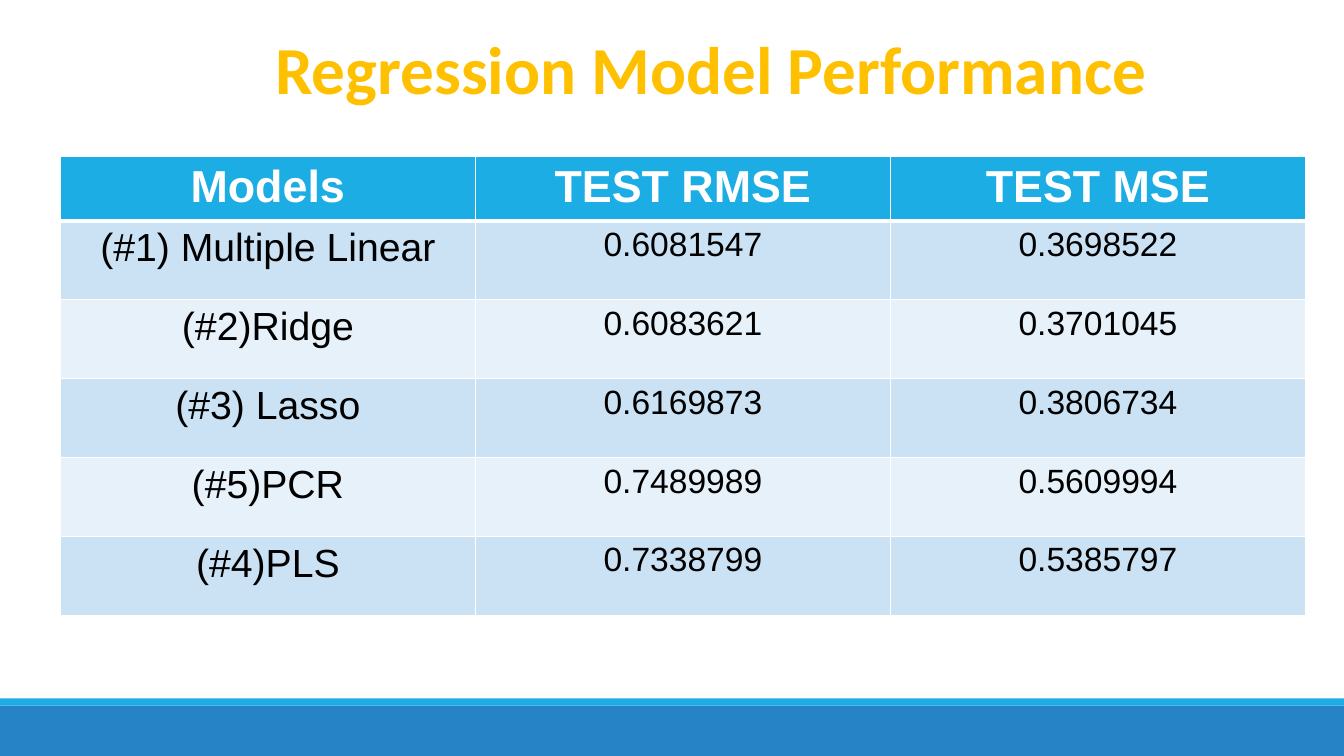
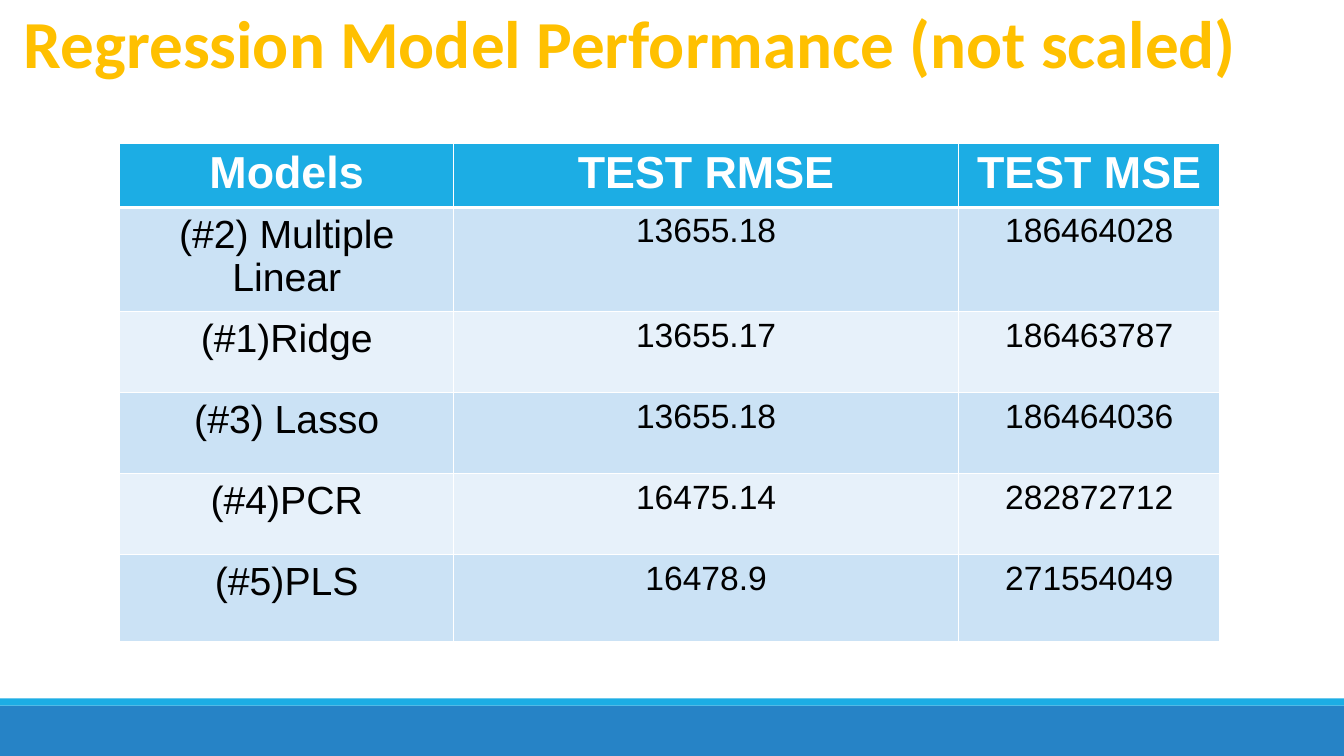
from lxml.etree import SubElement
from pptx import Presentation
from pptx.dml.color import RGBColor
from pptx.enum.shapes import MSO_SHAPE
from pptx.enum.text import MSO_ANCHOR, PP_ALIGN
from pptx.oxml.ns import qn
from pptx.util import Cm, Pt

COLORS = {
    "title": "FFC000",
    "head": "1CADE4",
    "base": "2683C6",
    "odd": "CBE2F5",
    "even": "E7F1FA",
    "white": "FFFFFF",
    "black": "000000",
}
WIDTH, HEIGHT = 33.87, 19.05
TITLE_SIZE = 33.66, 2.08

# Bands at the foot of every slide: color, top, height
BANDS = [("base", 17.78, 1.27), ("head", 17.6, 0.18)]

HEAD = ("Models", "TEST RMSE", "TEST MSE")
SLIDES = [
    {
        "title": "Regression Model Performance",
        "title_at": (1.09, 0.66),
        "table_at": (1.52, 3.94),
        "cols": [10.46] * 3,
        "rows": [1.62] + [1.99] * 5,
        "body": [
            ("(#1) Multiple Linear", "0.6081547", "0.3698522"),
            ("(#2)Ridge", "0.6083621", "0.3701045"),
            ("(#3) Lasso", "0.6169873", "0.3806734"),
            ("(#5)PCR", "0.7489989", "0.5609994"),
            ("(#4)PLS", "0.7338799", "0.5385797"),
        ],
    },
    {
        "title": "Regression Model Performance (not scaled)",
        "title_at": (-0.94, 0),
        "table_at": (3.02, 3.61),
        "cols": [8.41, 12.73, 6.58],
        "rows": [1.62, 2.62, 2.04, 2.04, 2.04, 2.18],
        "body": [
            ("(#2) Multiple Linear", "13655.18", "186464028"),
            ("(#1)Ridge", "13655.17", "186463787"),
            ("(#3) Lasso", "13655.18", "186464036"),
            ("(#4)PCR", "16475.14", "282872712"),
            ("(#5)PLS", "16478.9", "271554049"),
        ],
    },
]


def rgb(name):
    return RGBColor.from_string(COLORS[name])


def write(frame, text, size, color, font="Arial", bold=False):
    frame.word_wrap = True
    para = frame.paragraphs[0]
    para.alignment = PP_ALIGN.CENTER
    run = para.add_run()
    run.text = text
    run.font.name = font
    run.font.size = Pt(size)
    run.font.bold = bold
    run.font.color.rgb = rgb(color)


def add_bands(slide, master):
    """Draw the foot bands and move them to the master, behind all slides."""
    for num, (color, top, height) in enumerate(BANDS):
        band = slide.shapes.add_shape(
            MSO_SHAPE.RECTANGLE, 0, Cm(top), Cm(WIDTH), Cm(height))
        band.shadow.inherit = False
        band.fill.solid()
        band.fill.fore_color.rgb = rgb(color)
        band.line.fill.background()
        band.element.nvSpPr.cNvPr.set("id", str(100 + num))
        master.shapes.element.append(band.element)


def add_title(slide, text, left, top):
    box = slide.shapes.add_textbox(
        Cm(left), Cm(top), *map(Cm, TITLE_SIZE))
    frame = box.text_frame
    frame.vertical_anchor = MSO_ANCHOR.MIDDLE
    frame.margin_left = frame.margin_right = frame.margin_bottom = 0
    frame.margin_top = Cm(0.03)
    write(frame, text, 48, "title", font="Calibri", bold=True)


def set_edges(cell, row):
    """Give a cell white edges, thick between the head and the body."""
    widths = {"L": 1, "R": 1, "T": 3 if row == 1 else 1,
              "B": 3 if row == 0 else 1}
    props = cell._tc.get_or_add_tcPr()
    for side, width in widths.items():
        line = SubElement(props, qn(f"a:ln{side}"), w=str(Pt(width)))
        fill = SubElement(line, qn("a:solidFill"))
        SubElement(fill, qn("a:srgbClr"), val=COLORS["white"])


def add_grid(slide, data):
    cols, rows = data["cols"], data["rows"]
    left, top = data["table_at"]
    table = slide.shapes.add_table(
        len(rows), len(cols), Cm(left), Cm(top),
        Cm(sum(cols)), Cm(sum(rows))).table
    for col, width in zip(table.columns, cols):
        col.width = Cm(width)
    for row, height in zip(table.rows, rows):
        row.height = Cm(height)
    for i, texts in enumerate([HEAD] + data["body"]):
        for j, text in enumerate(texts):
            cell = table.cell(i, j)
            set_edges(cell, i)
            cell.fill.solid()
            if i == 0:
                cell.fill.fore_color.rgb = rgb("head")
                write(cell.text_frame, text, 32, "white", bold=True)
            else:
                cell.fill.fore_color.rgb = rgb("odd" if i % 2 else "even")
                write(cell.text_frame, text, 24 if j else 28, "black")


def main():
    deck = Presentation()
    deck.slide_width, deck.slide_height = Cm(WIDTH), Cm(HEIGHT)
    blank = deck.slide_layouts[6]
    for num, data in enumerate(SLIDES):
        slide = deck.slides.add_slide(blank)
        if num == 0:
            add_bands(slide, deck.slide_master)
        add_grid(slide, data)
        add_title(slide, data["title"], *data["title_at"])
    deck.save("out.pptx")


if __name__ == "__main__":
    main()
